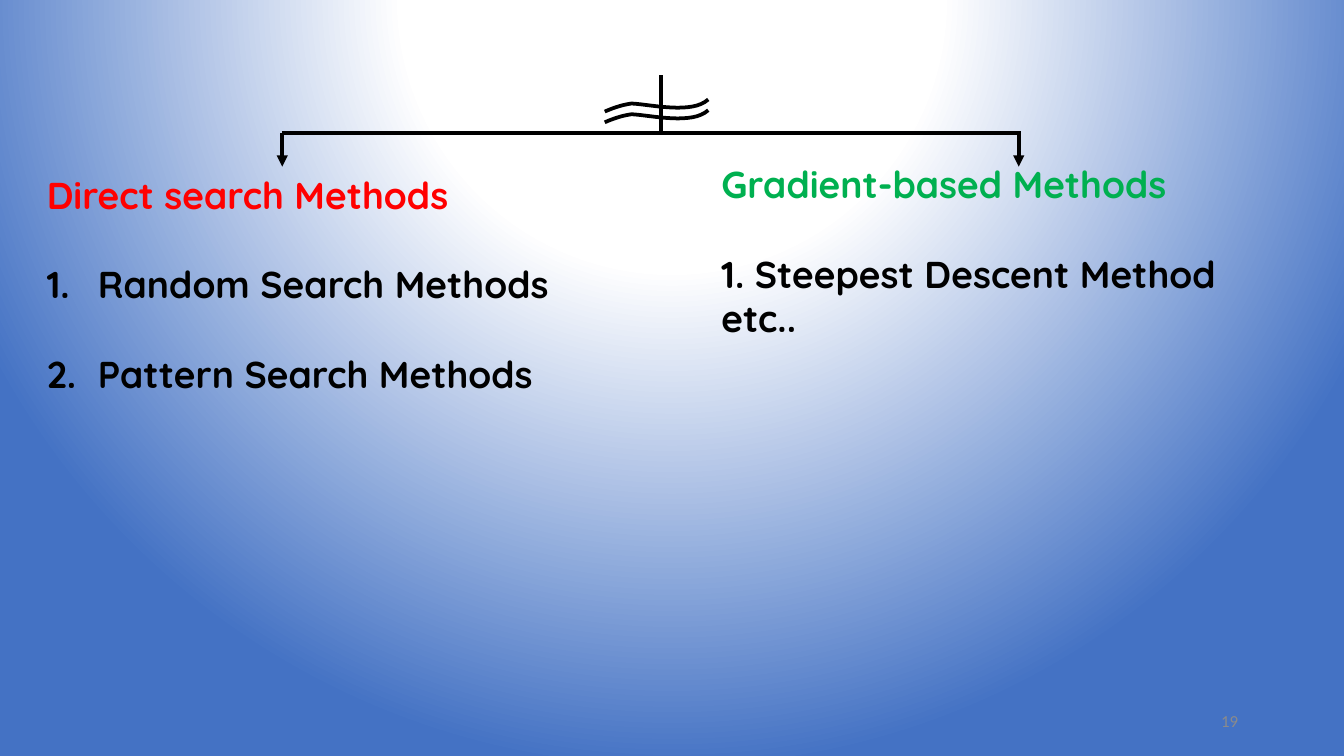
from lxml import etree
from pptx import Presentation
from pptx.dml.color import RGBColor
from pptx.enum.shapes import MSO_CONNECTOR
from pptx.enum.text import MSO_ANCHOR, PP_ALIGN
from pptx.oxml.ns import qn
from pptx.util import Inches, Pt

RIGHT = PP_ALIGN.RIGHT
MIDDLE = MSO_ANCHOR.MIDDLE
STRAIGHT = MSO_CONNECTOR.STRAIGHT

THEME = {
    "font": "Quicksand", "number_font": "Calibri",
    "text_size": 20, "number_size": 9, "line_width": 2, "gap": 24,
    "ink": "000000", "direct": "FF0000", "gradient": "00B050", "number": "8B8B8B",
    "background": [(0, "FFFFFF"), (35, "FFFFFF"), (100, "4472C4")],
}

# Each item: text, hanging indent in inches, automatic number.
COLUMNS = [
    {"heading": "Direct search Methods", "color": "direct",
     "items": [("Random Search Methods", 0.38, True),
               ("2.\tPattern Search Methods", 0.38, False)],
     "box": (0.25, 1.23, 4, 1.78)},
    {"heading": "Gradient-based Methods", "color": "gradient",
     "items": [("1. Steepest Descent Method etc..", 0, False)],
     "box": (5.27, 1.15, 4.14, 1.45)},
]
SLIDE_NUMBER = "19"

BRANCH_Y, ARROW_END_Y = 0.99, 1.24
ARROW_XS = (2.1, 7.58)
STEM = ((4.92, 0.56), (4.92, 0.98))
BAR = ((2.1, BRANCH_Y), (7.6, BRANCH_Y))
# Cubic segments of one break mark; the second mark lies WAVE_GAP lower.
WAVE = [
    ((4.5, 0.83), (4.57, 0.8), (4.63, 0.78), (4.7, 0.77)),
    ((4.7, 0.77), (4.86, 0.78), (5.15, 0.85), (5.27, 0.74)),
]
WAVE_GAP = 0.08
WAVE_STEPS = 16


def color(name):
    return RGBColor.from_string(THEME[name])


def paint_background(slide):
    """Radial gradient centred above the top edge of the slide."""
    slide.background.fill.gradient()
    gradient = slide._element.find(".//" + qn("a:gradFill"))
    for child in list(gradient):
        gradient.remove(child)
    stops = etree.SubElement(gradient, qn("a:gsLst"))
    for percent, rgb in THEME["background"]:
        stop = etree.SubElement(stops, qn("a:gs"), pos=str(percent * 1000))
        etree.SubElement(stop, qn("a:srgbClr"), val=rgb)
    circle = etree.SubElement(gradient, qn("a:path"))
    circle.set("path", "circle")
    etree.SubElement(circle, qn("a:fillToRect"),
                     l="50000", t="-80000", r="50000", b="180000")


def style_line(shape):
    shape.line.color.rgb = color("ink")
    shape.line.width = Pt(THEME["line_width"])


def add_line(slide, start, end, arrow=False):
    points = [Inches(value) for value in (*start, *end)]
    connector = slide.shapes.add_connector(STRAIGHT, *points)
    style_line(connector)
    properties = connector._element.spPr
    if arrow:
        etree.SubElement(properties.find(qn("a:ln")), qn("a:tailEnd"), type="triangle")
    etree.SubElement(properties, qn("a:effectLst"))


def cubic_point(segment, t):
    weights = ((1 - t) ** 3, 3 * t * (1 - t) ** 2, 3 * t ** 2 * (1 - t), t ** 3)
    return tuple(sum(w * point[axis] for w, point in zip(weights, segment))
                 for axis in (0, 1))


def add_wave(slide, drop):
    points = [cubic_point(segment, step / WAVE_STEPS)
              for segment in WAVE for step in range(WAVE_STEPS + 1)]
    points = [(Inches(x), Inches(y + drop)) for x, y in points]
    builder = slide.shapes.build_freeform(*points[0])
    builder.add_line_segments(points[1:], close=False)
    wave = builder.convert_to_shape()
    wave.fill.background()
    wave.shadow.inherit = False
    style_line(wave)


def add_box(slide, place):
    box = slide.shapes.add_textbox(*(Inches(value) for value in place))
    box.text_frame.word_wrap = True
    return box.text_frame


def add_span(para, text, font, size, color_name, bold):
    span = para.add_run()
    span.text = text
    span.font.name = font
    span.font.size = Pt(size)
    span.font.bold = bold
    span.font.color.rgb = color(color_name)


def indent_paragraph(para, indent, numbered):
    properties = para._p.get_or_add_pPr()
    properties.set("marL", str(Inches(indent)))
    properties.set("indent", str(-Inches(indent)))
    if numbered:
        etree.SubElement(properties, qn("a:buFont"), typeface=THEME["font"])
        etree.SubElement(properties, qn("a:buAutoNum"), type="arabicPeriod")


def add_column(slide, column):
    frame = add_box(slide, column["box"])
    add_span(frame.paragraphs[0], column["heading"], THEME["font"],
             THEME["text_size"], column["color"], True)
    for text, indent, numbered in column["items"]:
        para = frame.add_paragraph()
        para.space_before = Pt(THEME["gap"])
        indent_paragraph(para, indent, numbered)
        add_span(para, text, THEME["font"], THEME["text_size"], "ink", True)


def add_slide_number(slide):
    frame = add_box(slide, (7.06, 5.21, 2.25, 0.3))
    frame.vertical_anchor = MIDDLE
    para = frame.paragraphs[0]
    para.alignment = RIGHT
    add_span(para, SLIDE_NUMBER, THEME["number_font"], THEME["number_size"], "number", False)


def main():
    deck = Presentation()
    deck.slide_width = Inches(10)
    deck.slide_height = deck.slide_width * 9 // 16
    slide = deck.slides.add_slide(deck.slide_layouts[6])
    paint_background(slide)
    add_line(slide, *STEM)
    for drop in (0, WAVE_GAP):
        add_wave(slide, drop)
    add_line(slide, *BAR)
    for x in ARROW_XS:
        add_line(slide, (x, BRANCH_Y), (x, ARROW_END_Y), arrow=True)
    for column in COLUMNS:
        add_column(slide, column)
    add_slide_number(slide)
    deck.save("out.pptx")


if __name__ == "__main__":
    main()
